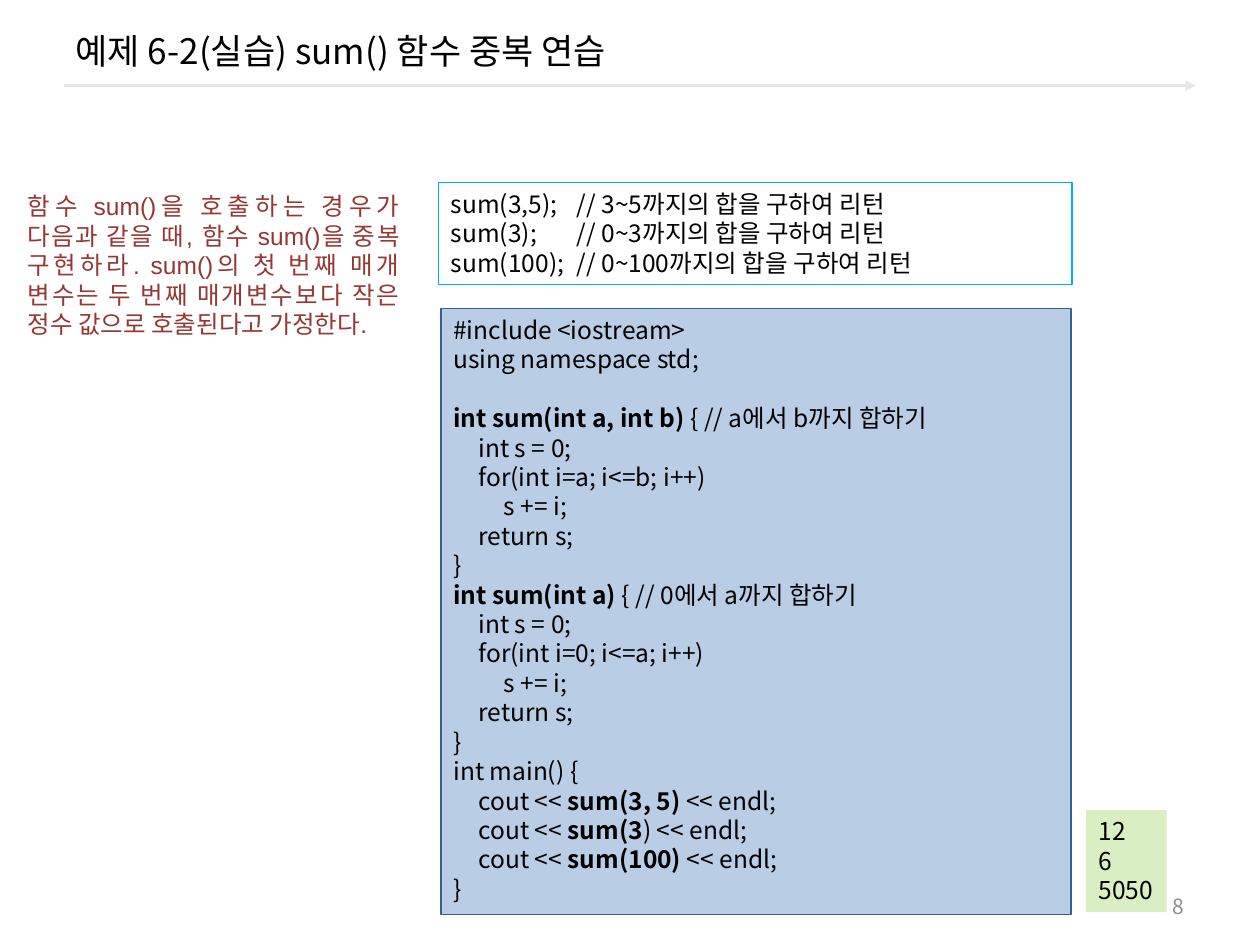
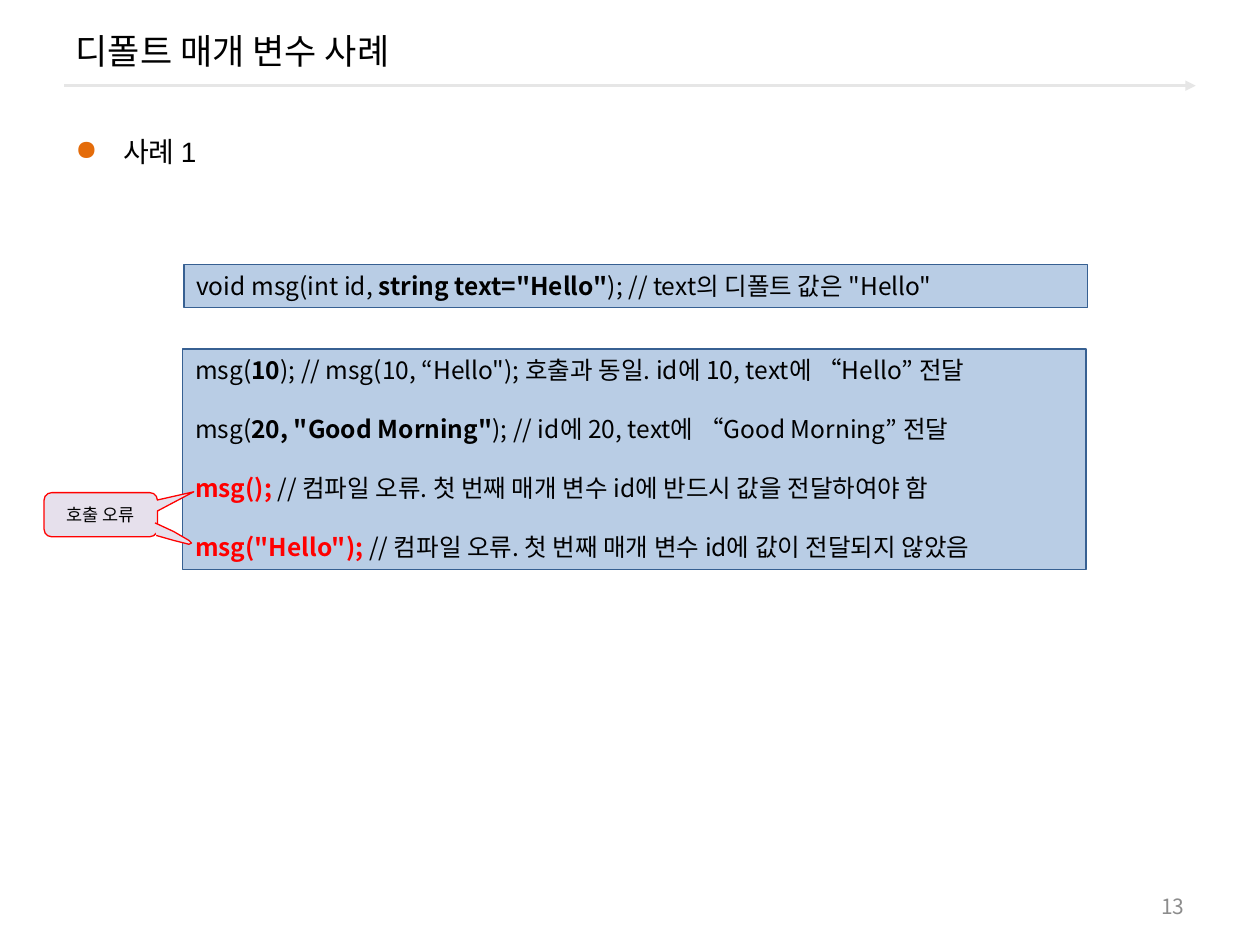
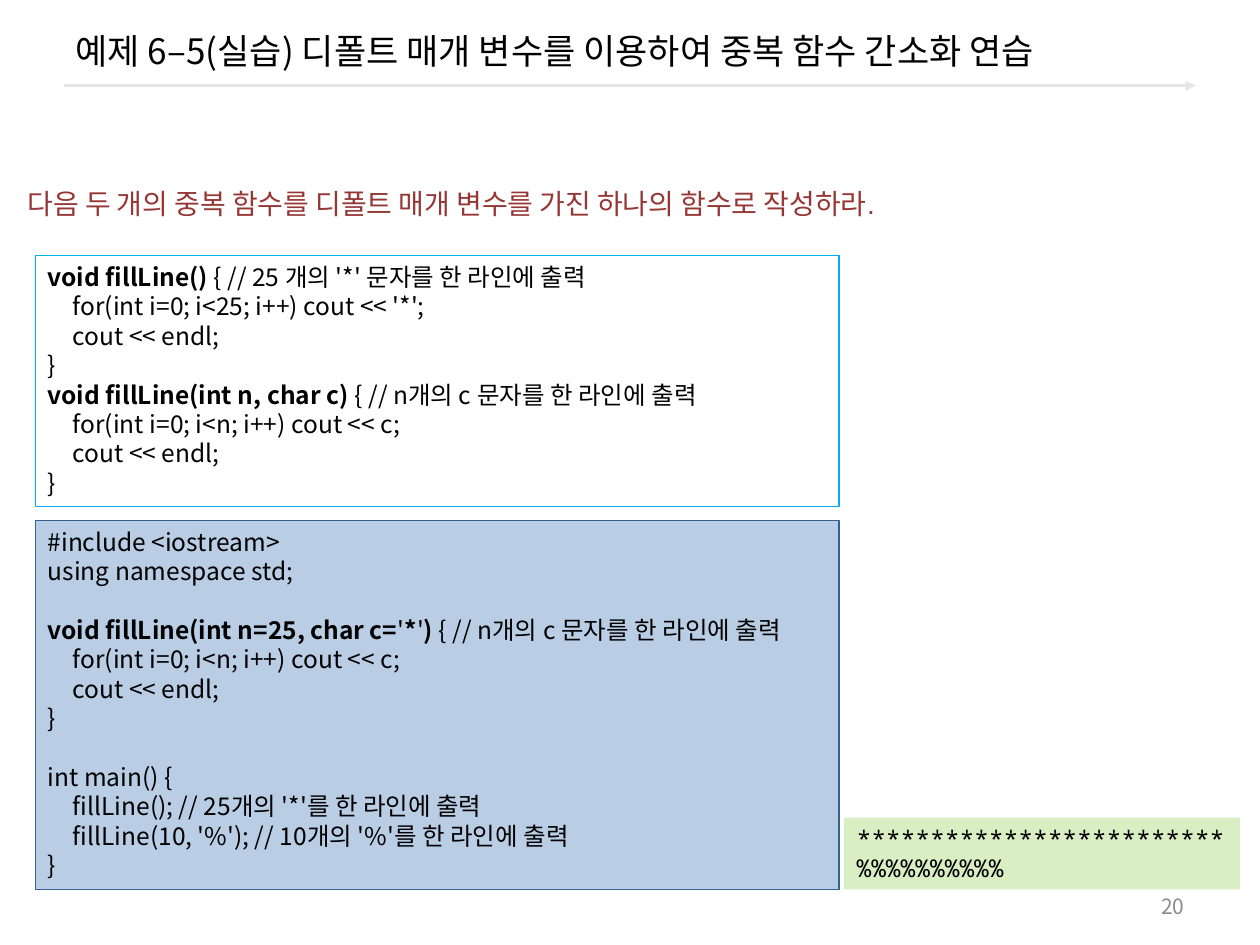
from lxml import etree
from pptx import Presentation
from pptx.dml.color import RGBColor
from pptx.enum.shapes import MSO_CONNECTOR, MSO_SHAPE
from pptx.enum.text import MSO_ANCHOR, MSO_AUTO_SIZE, PP_ALIGN
from pptx.oxml.ns import qn
from pptx.util import Inches, Pt

STRAIGHT = MSO_CONNECTOR.STRAIGHT
RECT = MSO_SHAPE.RECTANGLE
CALLOUT = MSO_SHAPE.ROUNDED_RECTANGULAR_CALLOUT
LEFT, RIGHT = PP_ALIGN.LEFT, PP_ALIGN.RIGHT
CENTER, JUSTIFY = PP_ALIGN.CENTER, PP_ALIGN.JUSTIFY
TOP, MIDDLE = MSO_ANCHOR.TOP, MSO_ANCHOR.MIDDLE
FIT_SHAPE, NO_FIT = MSO_AUTO_SIZE.SHAPE_TO_FIT_TEXT, MSO_AUTO_SIZE.NONE

KOREAN, LATIN, MONO = "Noto Sans CJK KR", "Arial", "Noto Sans Mono"
COLORS = {
    "text": "000000", "rule": "E6E6E6", "number": "8C8C8C", "task": "953735",
    "bullet": "E46C0A", "given line": "00B0F0", "code": "B9CDE5",
    "code line": "376092", "output": "DAEEC4", "error": "FF0000",
    "error fill": "E6E0EC",
}
RGB = {name: RGBColor.from_string(value) for name, value in COLORS.items()}
CODE_TABS = (0.2, 0.4)
BLANK_LINE = Pt(16.8)


def write(shape, text, size=14, font=KOREAN, color="text", align=LEFT,
          anchor=TOP, fit=NO_FIT, wrap=True, tabs=()):
    """Lines are separated by newlines; bars switch bold on and off."""
    frame = shape.text_frame
    frame.word_wrap = wrap
    frame.auto_size = fit
    frame.vertical_anchor = anchor
    paragraph = None
    blank = False
    for line in text.split("\n"):
        if not line:
            blank = True
            continue
        paragraph = frame.add_paragraph() if paragraph else frame.paragraphs[0]
        paragraph.alignment = align
        if blank:
            paragraph.space_before = BLANK_LINE
            blank = False
        if tabs:
            stops = etree.SubElement(paragraph._p.get_or_add_pPr(), qn("a:tabLst"))
            for stop in tabs:
                etree.SubElement(stops, qn("a:tab"), pos=str(Inches(stop)), algn="l")
        for index, part in enumerate(line.split("|")):
            if not part:
                continue
            run = paragraph.add_run()
            run.text = part
            run.font.size = Pt(size)
            run.font.name = font
            run.font.bold = index % 2 == 1
            run.font.color.rgb = RGB[color]
            east_asian = MONO if font == MONO else KOREAN
            etree.SubElement(run._r.get_or_add_rPr(), qn("a:ea"), typeface=east_asian)


def paint(shape, fill=None, line=None):
    shape.shadow.inherit = False
    if fill:
        shape.fill.solid()
        shape.fill.fore_color.rgb = RGB[fill]
    else:
        shape.fill.background()
    if line:
        shape.line.color.rgb = RGB[line]
        shape.line.width = Pt(0.75)
    else:
        shape.line.fill.background()


presentation = Presentation()
presentation.slide_width = Inches(10)
presentation.slide_height = Inches(7.5)

SLIDES = [
    ("예제 6-2(실습) sum() 함수 중복 연습", "8"),
    ("디폴트 매개 변수 사례", "13"),
    ("예제 6–5(실습) 디폴트 매개 변수를 이용하여 중복 함수 간소화 연습", "20"),
]
for heading, number in SLIDES:
    slide = presentation.slides.add_slide(presentation.slide_layouts[5])
    rule = slide.shapes.add_connector(
        STRAIGHT, Inches(0.51), Inches(0.68), Inches(9.49), Inches(0.68))
    rule.line.color.rgb = RGB["rule"]
    rule.line.width = Pt(1.5)
    etree.SubElement(rule.line._get_or_add_ln(), qn("a:tailEnd"), type="triangle")
    etree.SubElement(rule._element.spPr, qn("a:effectLst"))

    title = slide.shapes.title
    title.left, title.top = Inches(0.5), Inches(0.08)
    title.width, title.height = Inches(9), Inches(0.64)
    write(title, heading, size=20, anchor=MIDDLE)

    page = slide.shapes.add_textbox(
        Inches(7.17), Inches(7.03), Inches(2.33), Inches(0.32))
    write(page, number, size=12, color="number", align=RIGHT, anchor=MIDDLE)

overload, default_cases, simplify = presentation.slides

SUM_CALLS = """sum(3,5); \t// 3~5까지의 합을 구하여 리턴
sum(3); \t// 0~3까지의 합을 구하여 리턴
sum(100); \t// 0~100까지의 합을 구하여 리턴"""

SUM_CODE = """#include <iostream>
using namespace std;

|int sum(int a, int b) |{ // a에서 b까지 합하기
\tint s = 0;
\tfor(int i=a; i<=b; i++)
\t\ts += i;
\treturn s;
}
|int sum(int a) |{ // 0에서 a까지 합하기
\tint s = 0;
\tfor(int i=0; i<=a; i++)
\t\ts += i;
\treturn s;
}
int main() {
\tcout << |sum(3, 5) |<< endl;
\tcout << |sum(3|) << endl;
\tcout << |sum(100) |<< endl;
}"""

MSG_DECLARATION = 'void msg(int id, |string text="Hello"|); // text의 디폴트 값은 "Hello"'

MSG_CALLS = """msg(|10|); // msg(10, “Hello"); 호출과 동일. id에 10, text에 “Hello” 전달

msg(|20, "Good Morning"|); // id에 20, text에 “Good Morning” 전달

|msg(); |// 컴파일 오류. 첫 번째 매개 변수 id에 반드시 값을 전달하여야 함

|msg("Hello"); |// 컴파일 오류. 첫 번째 매개 변수 id에 값이 전달되지 않았음"""

FILL_GIVEN = """|void fillLine() |{ // 25 개의 '*' 문자를 한 라인에 출력
\tfor(int i=0; i<25; i++) cout << '*';
\tcout << endl;
}
|void fillLine(int n, char c) |{ // n개의 c 문자를 한 라인에 출력
\tfor(int i=0; i<n; i++) cout << c;
\tcout << endl;
}"""

FILL_CODE = """#include <iostream>
using namespace std;

|void fillLine(int n=25, char c=|'|*|'|) |{ // n개의 c 문자를 한 라인에 출력
\tfor(int i=0; i<n; i++) cout << c;
\tcout << endl;
}

int main() {
\tfillLine(); // 25개의 '*'를 한 라인에 출력
\tfillLine(10, '%'); // 10개의 '%'를 한 라인에 출력
}"""

FILL_OUTPUT = "*" * 25 + "\n" + "%" * 10

PANELS = [
    (overload, (3.48, 1.45, 5.03, 0.81), None, "given line", SUM_CALLS, {"tabs": (1,)}),
    (overload, (3.5, 2.45, 5, 4.81), "code", "code line", SUM_CODE, {"tabs": CODE_TABS}),
    (overload, (8.62, 6.43, 0.64, 0.81), "output", None, "12\n6\n5050", {"wrap": False}),
    (default_cases, (1.46, 2.1, 7.17, 0.34), "code", "code line", MSG_DECLARATION, {}),
    (default_cases, (1.45, 2.77, 7.17, 1.75), "code", "code line", MSG_CALLS, {}),
    (simplify, (0.28, 2.03, 6.38, 1.99), None, "given line", FILL_GIVEN,
     {"tabs": CODE_TABS}),
    (simplify, (0.28, 4.13, 6.38, 2.93), "code", "code line", FILL_CODE,
     {"tabs": CODE_TABS}),
    (simplify, (6.7, 6.49, 3.14, 0.57), "output", None, FILL_OUTPUT,
     {"wrap": False, "font": MONO}),
]
for slide, box, fill, line, code, style in PANELS:
    panel = slide.shapes.add_shape(RECT, *map(Inches, box))
    paint(panel, fill, line)
    write(panel, code, fit=FIT_SHAPE, **style)
    if code == MSG_CALLS:
        for wrong_call in panel.text_frame.paragraphs[2:]:
            wrong_call.runs[0].font.color.rgb = RGB["error"]

TASKS = [
    (overload, (0.12, 1.47, 3.15, 1.51), 14, JUSTIFY,
     "함수 sum()을 호출하는 경우가 다음과 같을 때, 함수 sum()을 중복 구현하라. "
     "sum()의 첫 번째 매개 변수는 두 번째 매개변수보다 작은 정수 값으로 호출된다고 가정한다."),
    (simplify, (0.12, 1.43, 9.37, 0.37), 16, LEFT,
     "다음 두 개의 중복 함수를 디폴트 매개 변수를 가진 하나의 함수로 작성하라."),
]
for slide, box, size, align, wording in TASKS:
    task = slide.shapes.add_textbox(*map(Inches, box))
    write(task, wording, size=size, font=LATIN, color="task", align=align, fit=FIT_SHAPE)

case = default_cases.shapes.add_textbox(Inches(0.5), Inches(1.02), Inches(9), Inches(0.5))
write(case, "사례 1", size=16, font=LATIN)
case_format = case.text_frame.paragraphs[0]._p.get_or_add_pPr()
case_format.set("marL", str(Inches(0.38)))
case_format.set("indent", str(Inches(-0.38)))
bullet_color = etree.SubElement(case_format, qn("a:buClr"))
etree.SubElement(bullet_color, qn("a:srgbClr"), val=COLORS["bullet"])
etree.SubElement(case_format, qn("a:buChar"), char="●")

call_error = default_cases.shapes.add_shape(
    CALLOUT, Inches(0.35), Inches(3.91), Inches(0.9), Inches(0.35))
for index, adjustment in enumerate((0.82, -0.52, 0.17)):
    call_error.adjustments[index] = adjustment
paint(call_error, "error fill", "error")
write(call_error, "호출 오류", size=10, align=CENTER, anchor=MIDDLE)

outline = default_cases.shapes.build_freeform(Inches(1.23), Inches(4.15))
second_tail_points = [(1.38, 4.22), (1.5, 4.29), (1.52, 4.31),
                      (1.5, 4.32), (1.38, 4.29), (1.24, 4.25)]
outline.add_line_segments(
    [(Inches(x), Inches(y)) for x, y in second_tail_points], close=False)
second_tail = outline.convert_to_shape()
paint(second_tail, "error fill", "error")

presentation.save("out.pptx")
